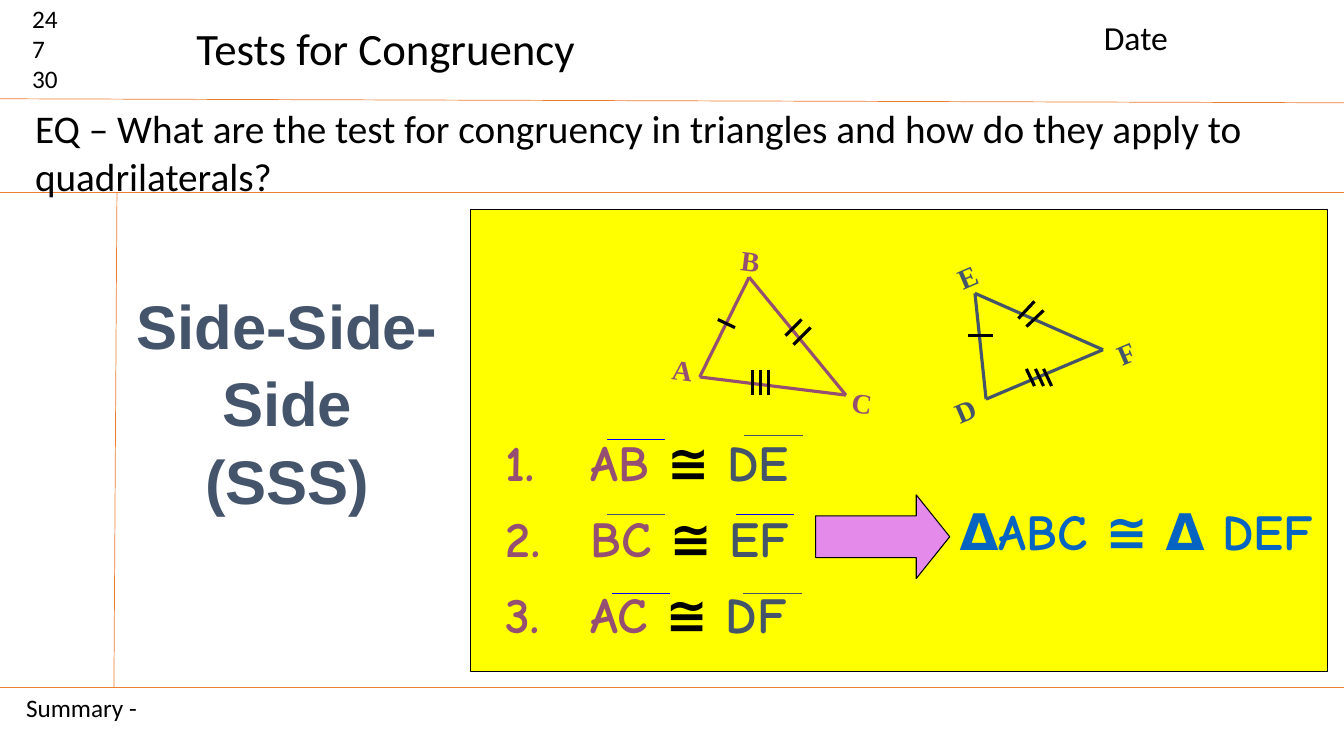
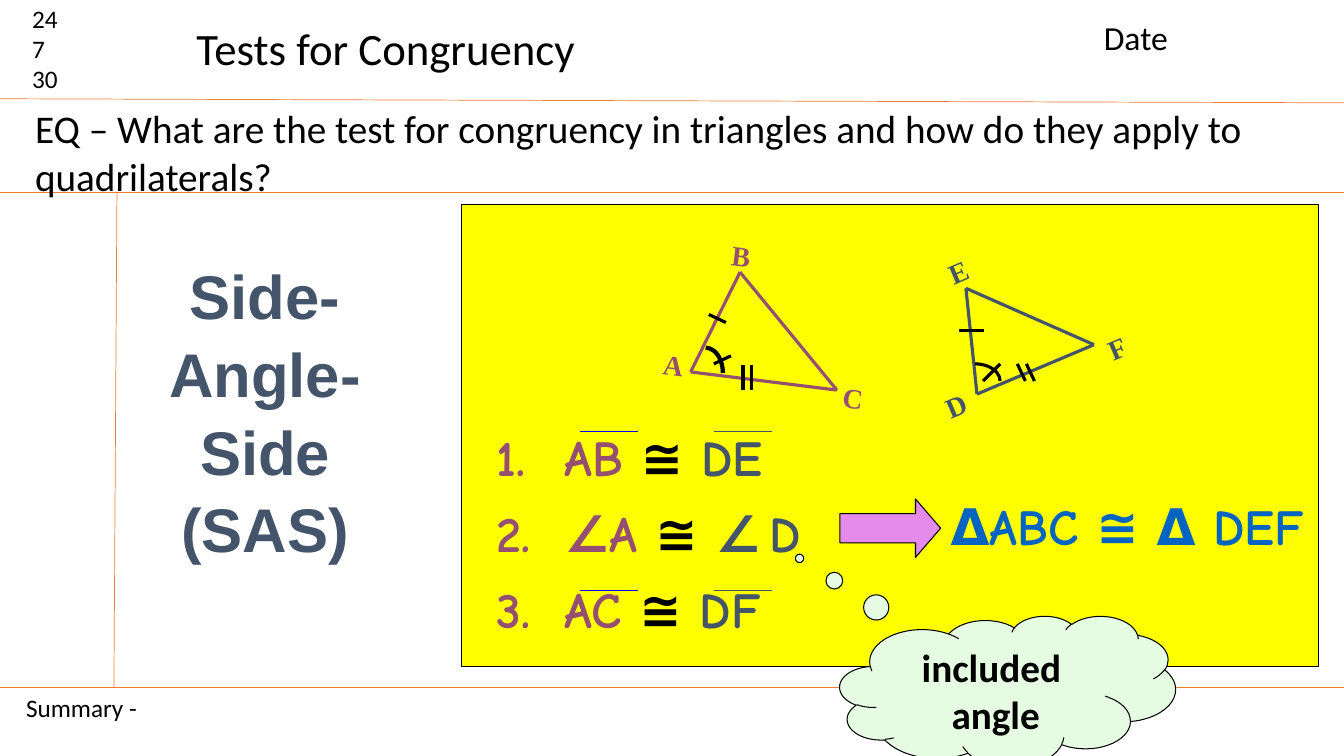
"""Build two note-taking slides on the SSS and SAS congruency tests."""
import dataclasses

import lxml.etree
import pptx
import pptx.dml.color
import pptx.enum.shapes
import pptx.enum.text
import pptx.oxml.ns
import pptx.util

Inches = pptx.util.Inches
Shape = pptx.enum.shapes.MSO_SHAPE
Align = pptx.enum.text.PP_ALIGN
Anchor = pptx.enum.text.MSO_ANCHOR


@dataclasses.dataclass(frozen=True)
class Theme:
    ink: str = "000000"
    rule: str = "ED7D31"
    slate: str = "44546A"
    plum: str = "954F72"
    blue: str = "0563C1"
    overline: str = "0000FF"
    panel: str = "FFFF00"
    arrow: str = "E38AEA"
    cloud: str = "E6FCE2"
    body_font: str = "Calibri"
    heading_font: str = "Arial"
    proof_font: str = "Comic Neue"
    label_font: str = "Times New Roman"
    heading: int = 44
    proof: int = 36
    topic: int = 32
    question: int = 28
    date: int = 24
    label: int = 20
    small: int = 18
    hairline: float = 0.5
    outline: float = 0.75
    stroke: float = 2.25


theme = Theme()


def draw_line(page, start, end, colour, width):
    line = page.shapes.add_connector(
        pptx.enum.shapes.MSO_CONNECTOR.STRAIGHT, *map(Inches, (*start, *end)))
    line.line.color.rgb = pptx.dml.color.RGBColor.from_string(colour)
    line.line.width = pptx.util.Pt(width)
    properties = line._element.spPr
    lxml.etree.SubElement(properties, pptx.oxml.ns.qn("a:effectLst"))


def write_text(frame, rows, font, size, colour=theme.ink, bold=False, align=Align.LEFT):
    for index, row in enumerate(rows):
        para = frame.add_paragraph() if index else frame.paragraphs[0]
        para.alignment = align
        for text, span_colour, span_size in row if isinstance(row, list) else [(row, colour, size)]:
            span = para.add_run()
            span.text = text
            span.font.name = font
            span.font.size = pptx.util.Pt(span_size)
            span.font.bold = bold
            span.font.color.rgb = pptx.dml.color.RGBColor.from_string(span_colour)


frame_rules = [
    ((0, 0.98), (13.33, 1.02)),
    ((0, 1.91), (13.33, 1.91)),
    ((1.16, 1.91), (1.13, 6.82)),
    ((0, 6.82), (13.33, 6.82)),
]
frame_texts = [
    ((0.22, -0.02, 0.63, 1.01), ["24", "7", "30"], theme.small, True),
    ((10.85, 0.12, 1.73, 0.5), ["Date"], theme.date, True),
    ((1.85, 0.16, 3.99, 0.64), ["Tests for Congruency"], theme.topic, False),
    ((0.25, 0.99, 12.94, 1.04),
     ["EQ – What are the test for congruency in triangles and how do they apply to quadrilaterals?"],
     theme.question, True),
    ((0.16, 6.82, 1.37, 0.4), ["Summary -"], theme.small, False),
]

# Triangle geometry is measured from the panel's top left corner.
triangles = [
    (theme.plum, 7, [(2.27, 1.66), (2.76, 0.67), (3.72, 1.84)],
     [("A", 2.0, 1.42), ("B", 2.68, 0.34), ("C", 3.78, 1.75)]),
    (theme.slate, 336.8, [(5.11, 1.88), (5.0, 0.83), (6.27, 1.39)],
     [("D", 4.8, 1.83), ("E", 4.83, 0.5), ("F", 6.41, 1.25)]),
]
shared_ticks = [((2.45, 1.09), (2.62, 1.17)), ((4.93, 1.25), (5.18, 1.25))]
shared_ticks += [((x, 1.59), (x, 1.84)) for x in (2.79, 2.87)]
shared_ticks += [((x, 1.58), (x + 0.08, 1.75)) for x in (5.51, 5.6)]

tests = [
    {
        "title": "Side-Side-Side (SSS)",
        "title_box": (1.21, 2.19, 3.28, 3.56),
        "panel": (4.67, 2.08),
        "indent": 0.84,
        "pairs": [("AB", "DE"), ("BC", "EF"), ("AC", "DF")],
        "arrow": (8.09, 4.91, 1.33, 0.83, 0.4),
        "ticks": [((3.28, 1.09), (3.12, 1.25)), ((3.37, 1.17), (3.2, 1.34)),
                  ((2.95, 1.59), (2.95, 1.84)),
                  ((5.43, 1.08), (5.59, 0.91)), ((5.51, 1.16), (5.68, 1.0)),
                  ((5.68, 1.58), (5.76, 1.75))],
        "arcs": [],
        "overlines": [(7.38, 4.32, theme.slate), (6.02, 5.1, theme.slate), (7.37, 5.89, theme.slate),
                      (6.02, 4.36, theme.overline), (7.3, 5.1, theme.overline),
                      (6.07, 5.89, theme.overline)],
        "callout": None,
    },
    {
        "title": "Side-Angle-Side (SAS)",
        "title_box": (1.08, 2.19, 3.1, 3.75),
        "panel": (4.58, 2.03),
        "indent": 0.67,
        "pairs": [("AB", "DE"), ("∠A", "∠ D"), ("AC", "DF")],
        "arrow": (8.33, 4.95, 1, 0.58, 0.43),
        "ticks": [((2.67, 1.5), (2.5, 1.58)), ((5.17, 1.75), (5.34, 1.58))],
        "arcs": [(2.42, 1.67, 0.17, 0.25, 3), (5.09, 1.75, 0.25, 0.17, theme.stroke)],
        "overlines": [(x, y, colour) for x, colour in ((5.75, theme.overline), (7.08, theme.slate))
                      for y in (4.28, 5.86)],
        "callout": ["included ", "angle"],
    },
]

deck = pptx.Presentation()
deck.slide_width, deck.slide_height = Inches(13.33), Inches(7.5)

for test in tests:
    page = deck.slides.add_slide(deck.slide_layouts[5])
    for start, end in frame_rules:
        draw_line(page, start, end, theme.rule, theme.hairline)
    for place, rows, size, wrap in frame_texts:
        box = page.shapes.add_textbox(*map(Inches, place))
        box.text_frame.word_wrap = wrap
        write_text(box.text_frame, rows, theme.body_font, size)

    title = page.shapes.title
    title.left, title.top, title.width, title.height = map(Inches, test["title_box"])
    title.text_frame.auto_size = pptx.enum.text.MSO_AUTO_SIZE.NONE
    title.text_frame.vertical_anchor = Anchor.MIDDLE
    write_text(title.text_frame, [test["title"]], theme.heading_font, theme.heading,
               theme.slate, True, Align.CENTER)
    title.text_frame.paragraphs[0].line_spacing = 1.05

    left, top = test["panel"]
    *arrow_place, arrow_head = test["arrow"]
    filled = [
        (Shape.RECTANGLE, (left, top, 8.5, 4.58), theme.panel, []),
        (Shape.RIGHT_ARROW, arrow_place, theme.arrow, [0.5, arrow_head]),
    ]
    if test["callout"]:
        filled.append((Shape.CLOUD_CALLOUT, (8.33, 6.11, 3.33, 1.5), theme.cloud, [-0.62, -0.88]))
    for preset, place, colour, adjustments in filled:
        shape = page.shapes.add_shape(preset, *map(Inches, place))
        shape.shadow.inherit = False
        shape.fill.solid()
        shape.fill.fore_color.rgb = pptx.dml.color.RGBColor.from_string(colour)
        shape.line.color.rgb = pptx.dml.color.RGBColor.from_string(theme.ink)
        shape.line.width = pptx.util.Pt(theme.outline)
        for index, value in enumerate(adjustments):
            shape.adjustments[index] = value
        if preset == Shape.CLOUD_CALLOUT:
            shape.text_frame.vertical_anchor = Anchor.TOP
            write_text(shape.text_frame, test["callout"], theme.body_font, theme.question,
                       bold=True, align=Align.CENTER)

    proof_rows = []
    for first, second in test["pairs"]:
        row = [(f"{first} ", theme.plum, theme.proof), ("≅ ", theme.ink, theme.proof)]
        angle, gap, name = second.rpartition(" ")
        if gap:
            row += [(angle, theme.slate, theme.proof), (gap, theme.ink, theme.small)]
        proof_rows.append(row + [(name, theme.slate, theme.proof)])
    proof = page.shapes.add_textbox(*map(Inches, (left + 0.25, top + 2.15, 3.5, 2.26)))
    proof.text_frame.word_wrap = True
    write_text(proof.text_frame, proof_rows, theme.proof_font, theme.proof, bold=True)
    for index, para in enumerate(proof.text_frame.paragraphs):
        properties = para._p.get_or_add_pPr()
        properties.set("marL", str(Inches(test["indent"])))
        properties.set("indent", str(-Inches(test["indent"])))
        lxml.etree.SubElement(properties, pptx.oxml.ns.qn("a:buAutoNum"), type="arabicPeriod")
        if index:
            para.space_before = pptx.util.Pt(11)

    conclusion = page.shapes.add_textbox(*map(Inches, (left + 4.75, top + 2.83, 3.75, 0.7)))
    conclusion.text_frame.word_wrap = True
    write_text(conclusion.text_frame, ["ΔABC ≅ Δ DEF"], theme.proof_font, theme.proof,
               theme.blue, True)

    for colour, rotation, corners, labels in triangles:
        points = [(left + x, top + y) for x, y in corners]
        for start, end in zip(points, points[1:] + points[:1]):
            draw_line(page, start, end, colour, theme.stroke)
        for name, x, y in labels:
            label = page.shapes.add_textbox(*map(Inches, (left + x, top + y, 0.19, 0.33)))
            label.rotation = rotation
            frame = label.text_frame
            frame.margin_left = frame.margin_top = frame.margin_right = frame.margin_bottom = 0
            frame.word_wrap = False
            write_text(frame, [name], theme.label_font, theme.label, colour, True)

    for (x1, y1), (x2, y2) in shared_ticks + test["ticks"]:
        draw_line(page, (left + x1, top + y1), (left + x2, top + y2), theme.ink, theme.stroke)
    for x, y, across, down, width in test["arcs"]:
        arc = page.shapes.add_shape(Shape.ARC, *map(Inches, (
            left + x - across, top + y - down, 2 * across, 2 * down)))
        arc.shadow.inherit = False
        arc.fill.background()
        arc.line.color.rgb = pptx.dml.color.RGBColor.from_string(theme.ink)
        arc.line.width = pptx.util.Pt(width)
    for x, y, colour in test["overlines"]:
        draw_line(page, (x, y), (x + 0.58, y), colour, theme.outline)

deck.save("out.pptx")
